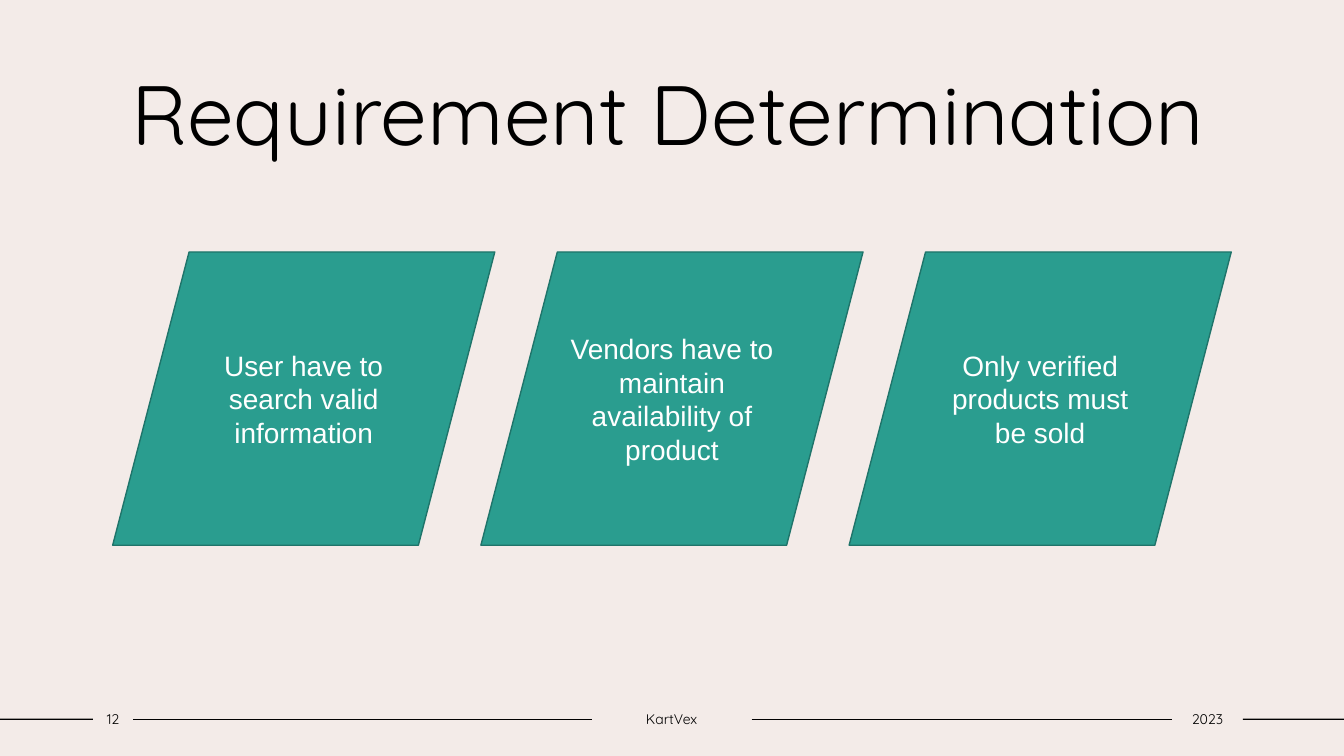
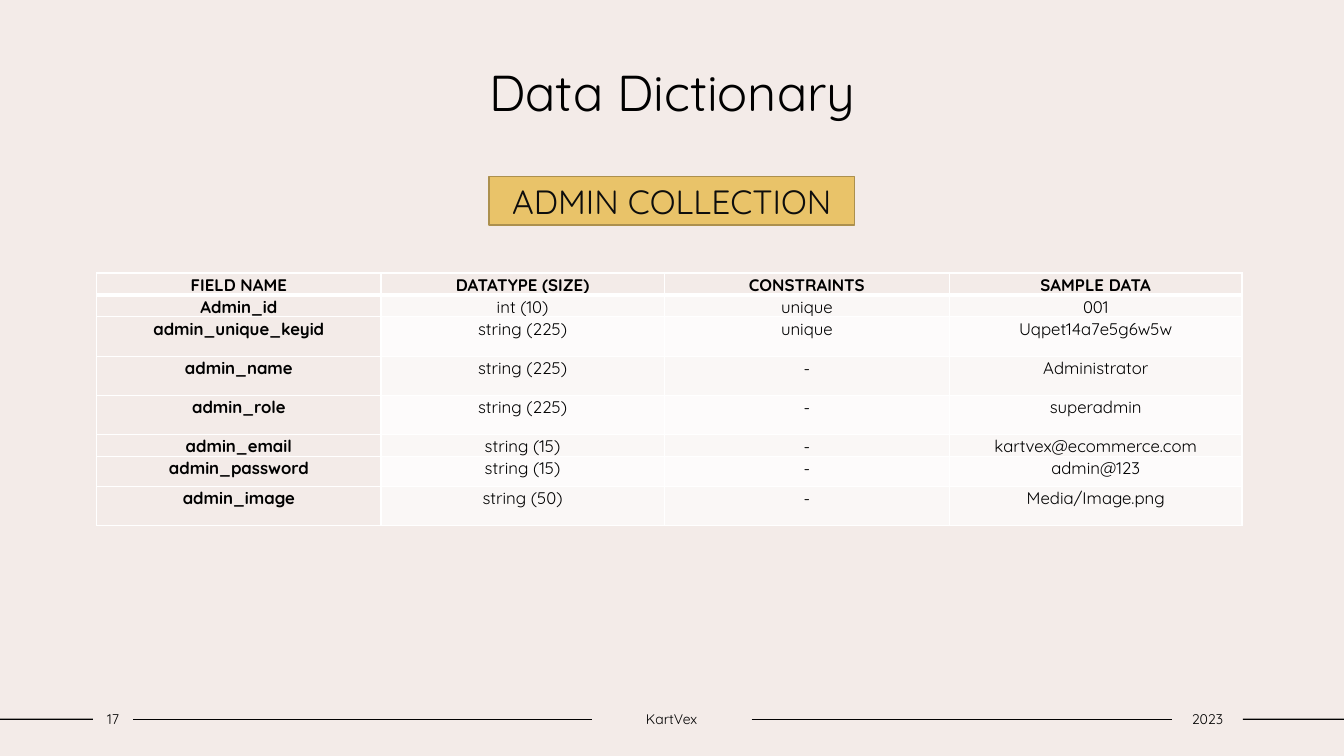
import dataclasses
import itertools
import typing

import lxml.etree
import pptx
import pptx.dml.color
import pptx.enum.shapes
import pptx.enum.text
import pptx.oxml.ns
import pptx.util

Cm = pptx.util.Cm
Pt = pptx.util.Pt
RGBColor = pptx.dml.color.RGBColor
ALIGN = pptx.enum.text.PP_ALIGN
ANCHOR = pptx.enum.text.MSO_ANCHOR
SHAPE = pptx.enum.shapes.MSO_SHAPE
STRAIGHT = pptx.enum.shapes.MSO_CONNECTOR.STRAIGHT
qn = pptx.oxml.ns.qn

BACKGROUND = RGBColor(0xF3, 0xEB, 0xE8)
BLACK = RGBColor(0x00, 0x00, 0x00)
WHITE = RGBColor(0xFF, 0xFF, 0xFF)
NEAR_BLACK = RGBColor(0x0D, 0x0D, 0x0D)
TEAL = RGBColor(0x2A, 0x9D, 0x8F)
DARK_TEAL = RGBColor(0x1F, 0x74, 0x6A)
GOLD = RGBColor(0xE9, 0xC3, 0x69)
DARK_GOLD = RGBColor(0xAC, 0x90, 0x4E)
ROW_FILLS = (RGBColor(0xFD, 0xFB, 0xFB), RGBColor(0xFA, 0xF7, 0xF6))

WIDTH, HEIGHT = Cm(33.87), Cm(19.05)
HEADING_FONT = "Quicksand"
BODY_FONT = "Arial"


@dataclasses.dataclass(frozen=True)
class Box:
    left: float
    top: float
    width: float
    height: float

    def lengths(self) -> tuple:
        return tuple(Cm(v) for v in dataclasses.astuple(self))


@dataclasses.dataclass(frozen=True)
class Panel:
    box: Box
    text: str
    kind: typing.Any
    fill: RGBColor
    line: RGBColor
    font: dict


def font_format(size: float, color: RGBColor = BLACK,
                name: str = HEADING_FONT, bold: bool = False) -> dict:
    return {"size": Pt(size), "name": name, "bold": bold, "color": color}


FOOTER_FONT = font_format(10)
FOOTER_FRAME = {"margin_left": 0, "margin_right": 0,
                "vertical_anchor": ANCHOR.MIDDLE}
FOOTER_TOP, FOOTER_HEIGHT = 17.78, 0.69
NUMBER_BOX = Box(2.34, FOOTER_TOP, 1.02, FOOTER_HEIGHT)
BRAND_BOX = Box(14.91, FOOTER_TOP, 4.03, FOOTER_HEIGHT)
YEAR_BOX = Box(29.54, FOOTER_TOP, 1.78, FOOTER_HEIGHT)

REQUIREMENTS = (
    "User have to search valid information",
    "Vendors have to maintain availability of product",
    "Only verified products must be sold",
)
PANEL_LEFT, PANEL_PITCH = 2.84, 9.28

COLUMN_WIDTHS = (7.16, 7.14, 7.19, 7.37)
ROW_HEIGHTS = (0.56, 0.48, 0.99, 0.99, 0.99, 0.48, 0.76, 0.99)
ADMIN_FIELDS = (
    ("FIELD NAME", "DATATYPE (SIZE)", "CONSTRAINTS", "SAMPLE DATA"),
    ("Admin_id", "int (10)", "unique", "001"),
    ("admin_unique_keyid", "string (225)", "unique", "Uqpet14a7e5g6w5w"),
    ("admin_name", "string (225)", "-", "Administrator"),
    ("admin_role", "string (225)", "-", "superadmin"),
    ("admin_email", "string (15)", "-", "kartvex@ecommerce.com"),
    ("admin_password", "string (15)", "-", "admin@123"),
    ("admin_image", "string (50)", "-", "Media/Image.png"),
)


def apply(target: typing.Any, values: dict) -> None:
    for name, value in values.items():
        if name == "color":
            target.color.rgb = value
        else:
            setattr(target, name, value)


def write(tf: typing.Any, text: str, font: dict) -> typing.Any:
    p = tf.paragraphs[0]
    p.alignment = ALIGN.CENTER
    r = p.add_run()
    r.text = text
    apply(r.font, font)
    return p


def add_text(s: typing.Any, box: Box, text: str, font: dict,
             frame: dict) -> typing.Any:
    sp = s.shapes.add_textbox(*box.lengths())
    apply(sp.text_frame, {"word_wrap": True, **frame})
    write(sp.text_frame, text, font)
    return sp


def add_panel(s: typing.Any, panel: Panel) -> None:
    sp = s.shapes.add_shape(panel.kind, *panel.box.lengths())
    sp.shadow.inherit = False
    sp.fill.solid()
    sp.fill.fore_color.rgb = panel.fill
    sp.line.color.rgb = panel.line
    sp.line.width = Pt(1)
    apply(sp.text_frame, {"word_wrap": True, "vertical_anchor": ANCHOR.MIDDLE})
    write(sp.text_frame, panel.text, panel.font)


def add_footer(s: typing.Any, number: int) -> None:
    labels = [
        add_text(s, box, text, FOOTER_FONT, FOOTER_FRAME)
        for box, text in ((NUMBER_BOX, str(number)), (BRAND_BOX, "KartVex"),
                          (YEAR_BOX, "2023"))
    ]
    y = Cm(FOOTER_TOP + FOOTER_HEIGHT / 2)
    for start, end in itertools.pairwise([None, *labels, None]):
        line = s.shapes.add_connector(STRAIGHT, 0, y, WIDTH, y)
        if start is not None:
            line.begin_connect(start, 3)
        if end is not None:
            line.end_connect(end, 1)
        line.line.color.rgb = BLACK
        line.line.width = Pt(1)
        lxml.etree.SubElement(line._element.spPr, qn("a:effectLst"))


def add_slide(prs: typing.Any, title: str, box: Box, size: float,
              number: int) -> typing.Any:
    s = prs.slides.add_slide(prs.slide_layouts[6])
    add_text(s, box, title, font_format(size), {"vertical_anchor": ANCHOR.TOP})
    add_footer(s, number)
    return s


def set_borders(cell: typing.Any, widths: dict) -> None:
    tc_pr = cell._tc.get_or_add_tcPr()
    for side, width in widths.items():
        ln = lxml.etree.SubElement(tc_pr, qn(f"a:ln{side}"), w=str(Pt(width)))
        fill = lxml.etree.SubElement(ln, qn("a:solidFill"))
        lxml.etree.SubElement(fill, qn("a:srgbClr"), val=str(WHITE))


def add_field_table(s: typing.Any) -> None:
    box = Box(2.44, 6.88, sum(COLUMN_WIDTHS), sum(ROW_HEIGHTS))
    table = s.shapes.add_table(len(ROW_HEIGHTS), len(COLUMN_WIDTHS),
                               *box.lengths()).table
    for column, width in zip(table.columns, COLUMN_WIDTHS):
        column.width = Cm(width)
    for i, (row, height) in enumerate(zip(table.rows, ROW_HEIGHTS)):
        row.height = Cm(height)
        side = Cm(0.13 if i == 0 else 0.18)
        for j, cell in enumerate(row.cells):
            heading = i == 0 or j == 0
            set_borders(cell, {"L": 1, "R": 1, "T": 3 if i == 1 else 1,
                               "B": 3 if i == 0 else 1})
            cell.fill.solid()
            cell.fill.fore_color.rgb = BACKGROUND if heading else ROW_FILLS[i % 2]
            apply(cell, {"margin_left": side, "margin_right": side,
                         "margin_top": 0, "margin_bottom": 0})
            p = write(cell.text_frame, ADMIN_FIELDS[i][j],
                      font_format(12, bold=heading))
            apply(p, {"line_spacing": 1.07, "space_after": Pt(8)})


def build_requirements(prs: typing.Any) -> None:
    s = add_slide(prs, "Requirement Determination",
                  Box(2.34, 1.42, 28.98, 2.82), 60, 12)
    for i, text in enumerate(REQUIREMENTS):
        box = Box(PANEL_LEFT + i * PANEL_PITCH, 6.35, 9.63, 7.39)
        add_panel(s, Panel(box, text, SHAPE.FLOWCHART_DATA, TEAL, DARK_TEAL,
                           font_format(20, WHITE, BODY_FONT)))


def build_dictionary(prs: typing.Any) -> None:
    s = add_slide(prs, "Data Dictionary", Box(3.18, 1.42, 27.53, 1.75), 36, 17)
    add_panel(s, Panel(Box(12.32, 4.45, 9.22, 1.22), "ADMIN COLLECTION",
                       SHAPE.RECTANGLE, GOLD, DARK_GOLD,
                       font_format(24, NEAR_BLACK)))
    add_field_table(s)


def main() -> None:
    prs = pptx.Presentation()
    apply(prs, {"slide_width": WIDTH, "slide_height": HEIGHT})
    fill = prs.slide_master.background.fill
    fill.solid()
    fill.fore_color.rgb = BACKGROUND
    build_requirements(prs)
    build_dictionary(prs)
    prs.save("out.pptx")


if __name__ == "__main__":
    main()
